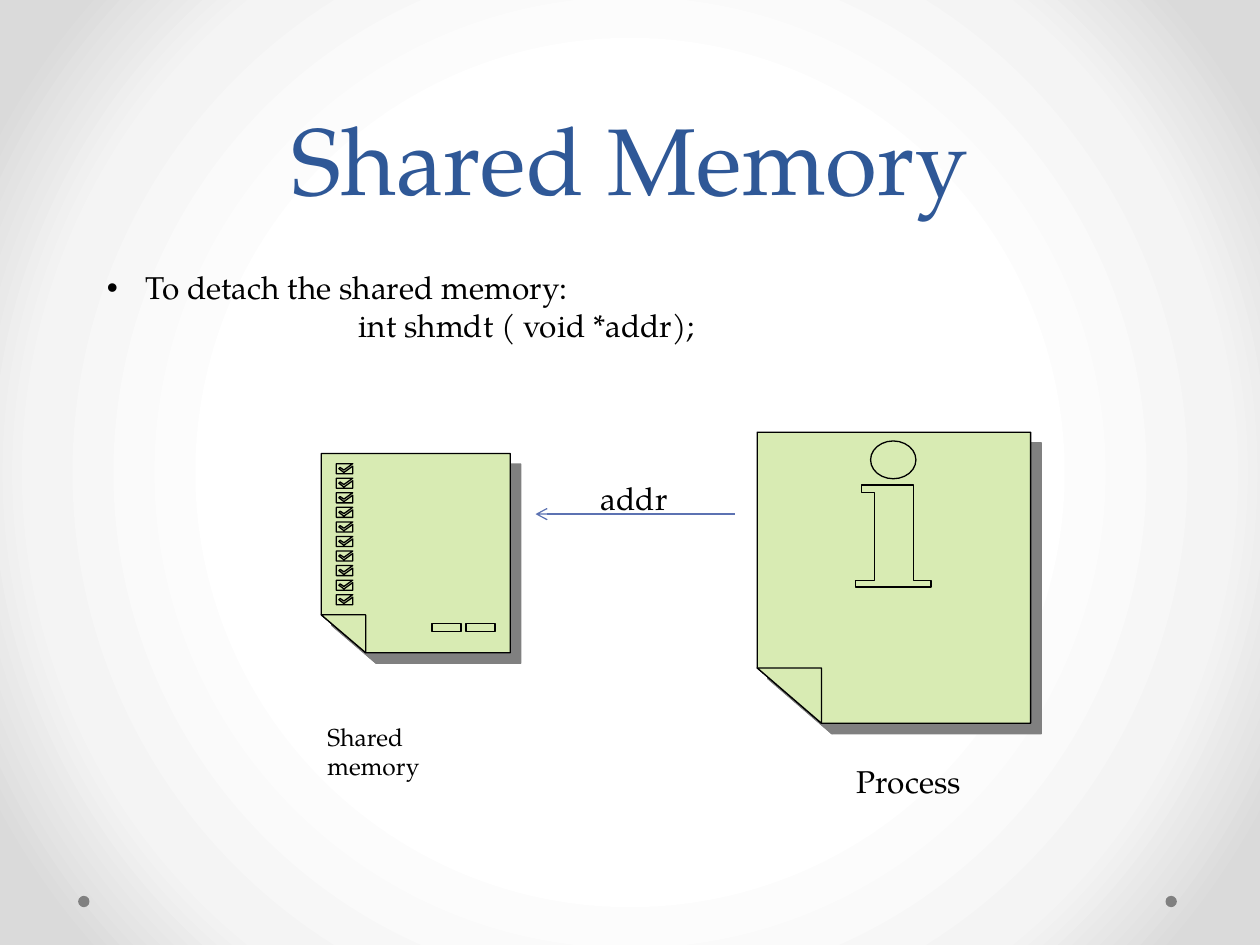
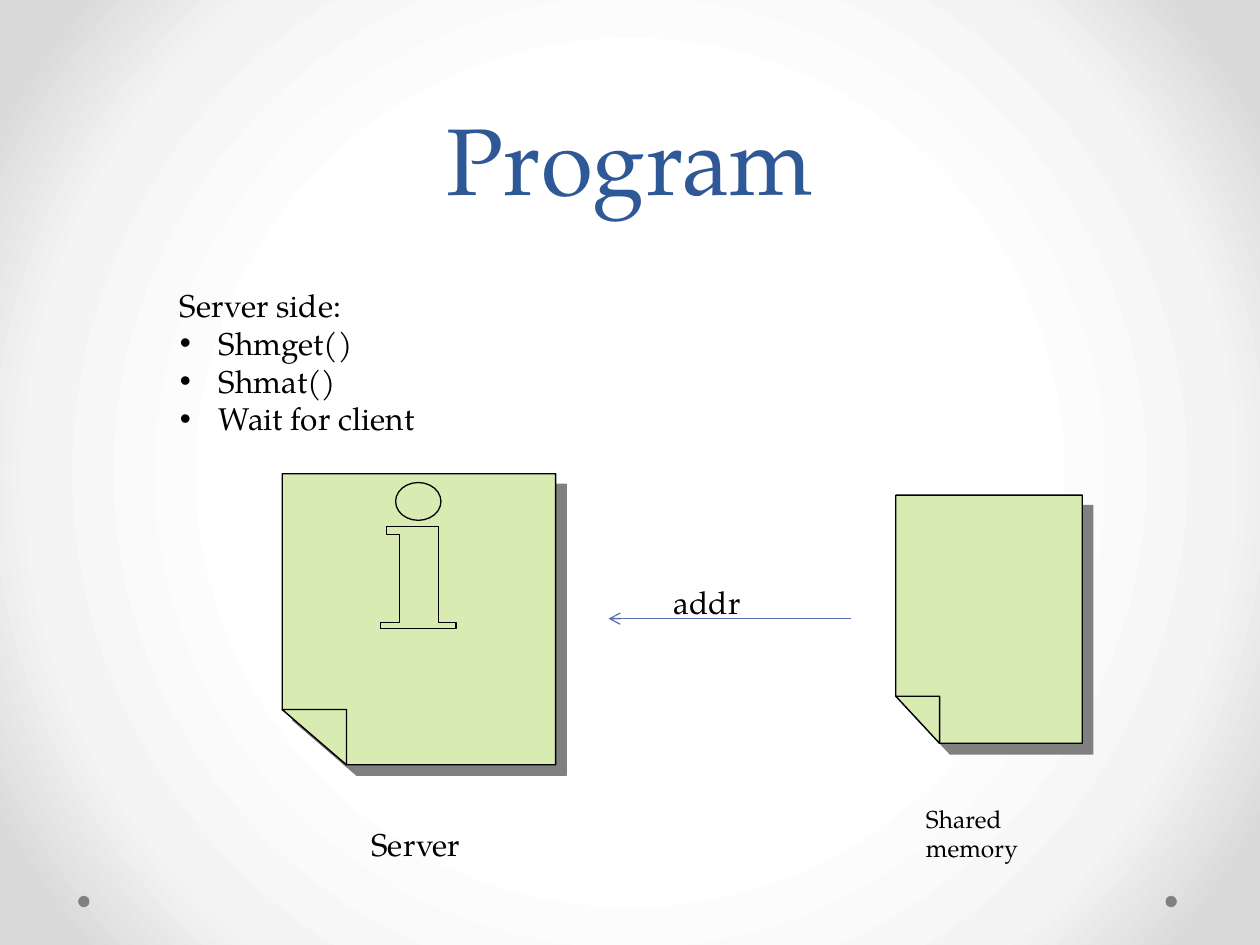
import math

import pptx
import pptx.dml.color
import pptx.enum.shapes
import pptx.enum.text
import pptx.oxml.ns
import pptx.util
from lxml import etree

FONT = "TeX Gyre Pagella"
TITLE_BLUE = "2F5897"
NOTE_GREEN = "D8EBB3"
ARROW_BLUE = "5C72B2"
GREY = "808080"
BLACK = "000000"
BACKDROP = [(50, "FFFFFF"), (76, "F4F4F4"), (92, "DADADA")]
FOLD_X, FOLD_Y = 0.235, 0.81

Inches = pptx.util.Inches
qn = pptx.oxml.ns.qn


def rgb(value):
    return pptx.dml.color.RGBColor.from_string(value)


def add_xml(parent, tag, **attributes):
    values = {name: str(value) for name, value in attributes.items()}
    return etree.SubElement(parent, qn(tag), values)


def inches(*lengths):
    return [Inches(length) for length in lengths]


def add_run(paragraph, text, size, color=BLACK):
    run = paragraph.add_run()
    run.text = text
    run.font.name = FONT
    run.font.size = pptx.util.Pt(size)
    run.font.color.rgb = rgb(color)


def indent(paragraph, left, bullet=False):
    properties = paragraph._p.get_or_add_pPr()
    properties.set("marL", str(Inches(left)))
    if bullet:
        properties.set("indent", str(-Inches(left)))
        add_xml(properties, "a:buFont", typeface="Arial")
        add_xml(properties, "a:buChar", char="•")


def add_text(slide, box, lines, size=18):
    frame = slide.shapes.add_textbox(*inches(*box)).text_frame
    frame.word_wrap = True
    frame.auto_size = pptx.enum.text.MSO_AUTO_SIZE.SHAPE_TO_FIT_TEXT
    for number, (text, left, bullet) in enumerate(lines):
        paragraph = frame.add_paragraph() if number else frame.paragraphs[0]
        indent(paragraph, left, bullet)
        add_run(paragraph, text, size)


def add_label(slide, box, text, size=18, left=0):
    add_text(slide, box, [(text, left, False)], size)


def rectangle(left, top, width, height):
    right, bottom = left + width, top + height
    return [(left, top), (right, top), (right, bottom), (left, bottom)]


def letter_i():
    stem = [(0.83, 0.42), (1.24, 0.42), (1.24, 1.18), (1.38, 1.18), (1.38, 1.23),
            (0.78, 1.23), (0.78, 1.18), (0.93, 1.18), (0.93, 0.48), (0.83, 0.48)]
    turns = [math.tau * step / 24 for step in range(24)]
    dot = [(1.08 + 0.18 * math.cos(turn), 0.22 + 0.15 * math.sin(turn)) for turn in turns]
    return [stem, dot]


def checklist():
    tick = [(0.12, 0), (0.25, 0), (0.18, 0.05), (0.15, 0.03), (0.14, 0.04),
            (0.18, 0.07), (0.25, 0.02), (0.25, 0.08), (0.12, 0.08)]
    row_gap = 1.04 / 9
    ticks = [[(x, 0.08 + row * row_gap + y) for x, y in tick] for row in range(10)]
    dashes = [rectangle(left, 1.35, 0.23, 0.06) for left in (0.88, 1.15)]
    return dashes + ticks


def separate_contours(outline):
    current = outline
    for step in list(outline)[1:]:
        if step.tag == qn("a:moveTo"):
            current = etree.SubElement(outline.getparent(), outline.tag, dict(outline.attrib))
        current.append(step)


def add_note(slide, box, marks=()):
    left, top, width, height = box
    fold_x, fold_y = width * FOLD_X, height * FOLD_Y
    sheet = [(0, 0), (width, 0), (width, height), (fold_x, height), (0, fold_y)]
    fold = [(0, fold_y), (fold_x, fold_y), (fold_x, height)]
    contours = [[inches(left + x, top + y) for x, y in contour]
                for contour in [sheet, fold, *marks]]
    builder = slide.shapes.build_freeform(*contours[0][0], scale=1.0)
    for number, contour in enumerate(contours):
        if number:
            builder.move_to(*contour[0])
        builder.add_line_segments(contour[1:], close=True)
    note = builder.convert_to_shape()
    separate_contours(note.element.find(".//" + qn("a:path")))
    note.fill.solid()
    note.fill.fore_color.rgb = rgb(NOTE_GREEN)
    note.line.color.rgb = rgb(BLACK)
    note.line.width = pptx.util.Pt(0.75)
    note.shadow.inherit = False
    effects = note.element.spPr.find(qn("a:effectLst"))
    shadow = add_xml(effects, "a:outerShdw", dist=pptx.util.Pt(8.5), dir=45 * 60000,
                     algn="ctr", rotWithShape=0)
    add_xml(shadow, "a:srgbClr", val=GREY)


def add_address_arrow(slide, start, end, y, label_box):
    arrow = slide.shapes.add_connector(
        pptx.enum.shapes.MSO_CONNECTOR.STRAIGHT, *inches(start, y, end, y))
    arrow.line.color.rgb = rgb(ARROW_BLUE)
    arrow.line.width = pptx.util.Pt(0.75)
    properties = arrow.element.spPr
    add_xml(properties.find(qn("a:ln")), "a:tailEnd", type="arrow")
    add_xml(properties, "a:effectLst")
    add_label(slide, label_box, "addr")


def set_backdrop(layout):
    layout.background.fill.gradient()
    gradient = layout.element.find(".//" + qn("a:gradFill"))
    for part in list(gradient):
        gradient.remove(part)
    stops = add_xml(gradient, "a:gsLst")
    for position, color in BACKDROP:
        stop = add_xml(stops, "a:gs", pos=position * 1000)
        add_xml(stop, "a:srgbClr", val=color)
    circle = add_xml(gradient, "a:path", path="circle")
    add_xml(circle, "a:fillToRect", l=50000, t=50000, r=50000, b=50000)


def add_corner_dots(slide):
    for left in (0.62, 9.25):
        dot = slide.shapes.add_shape(
            pptx.enum.shapes.MSO_SHAPE.OVAL, *inches(left, 7.11, 0.09, 0.09))
        dot.fill.solid()
        dot.fill.fore_color.rgb = rgb(GREY)
        dot.line.fill.background()
        dot.shadow.inherit = False


def start_slide(deck, heading):
    slide = deck.slides.add_slide(deck.slide_layouts[5])
    add_corner_dots(slide)
    title = slide.shapes.title
    title.left, title.top, title.width, title.height = inches(0.5, 0, 9, 1.75)
    title.text_frame.vertical_anchor = pptx.enum.text.MSO_ANCHOR.BOTTOM
    title.text_frame.auto_size = pptx.enum.text.MSO_AUTO_SIZE.NONE
    paragraph = title.text_frame.paragraphs[0]
    paragraph.alignment = pptx.enum.text.PP_ALIGN.CENTER
    paragraph.line_spacing = pptx.util.Pt(58)
    add_run(paragraph, heading, 54, TITLE_BLUE)
    return slide


def build_detach_slide(deck):
    slide = start_slide(deck, "Shared Memory")
    add_text(slide, (0.75, 2.08, 8.5, 0.71), [
        ("To detach the shared memory:", 0.31, True),
        ("int shmdt ( void *addr);", 2, False),
    ])
    add_note(slide, (6.01, 3.43, 2.17, 2.31), letter_i())
    add_label(slide, (6.33, 6, 1.83, 0.4), "Process", left=0.37)
    add_note(slide, (2.55, 3.6, 1.5, 1.58), checklist())
    add_label(slide, (2.5, 5.68, 1.58, 0.34), "Shared memory", 14)
    add_address_arrow(slide, 5.83, 4.25, 4.08, (4.67, 3.75, 0.75, 0.4))


def build_program_slide(deck):
    slide = start_slide(deck, "Program")
    add_note(slide, (2.24, 3.76, 2.17, 2.31), letter_i())
    steps = ["Shmget()", "Shmat()", "Wait for client"]
    add_text(slide, (1.33, 2.22, 2.83, 1.31),
             [("Server side:", 0, False)] + [(step, 0.31, True) for step in steps])
    add_note(slide, (7.11, 3.93, 1.48, 1.97))
    add_label(slide, (2.23, 6.5, 2.17, 0.4), "Server", left=0.62)
    add_label(slide, (7.25, 6.33, 1.58, 0.34), "Shared memory", 14)
    add_address_arrow(slide, 6.75, 4.83, 4.91, (5.25, 4.58, 1, 0.4))


def main():
    deck = pptx.Presentation()
    deck.slide_width, deck.slide_height = inches(10, 7.5)
    set_backdrop(deck.slide_layouts[5])
    build_detach_slide(deck)
    build_program_slide(deck)
    deck.save("out.pptx")


if __name__ == "__main__":
    main()
